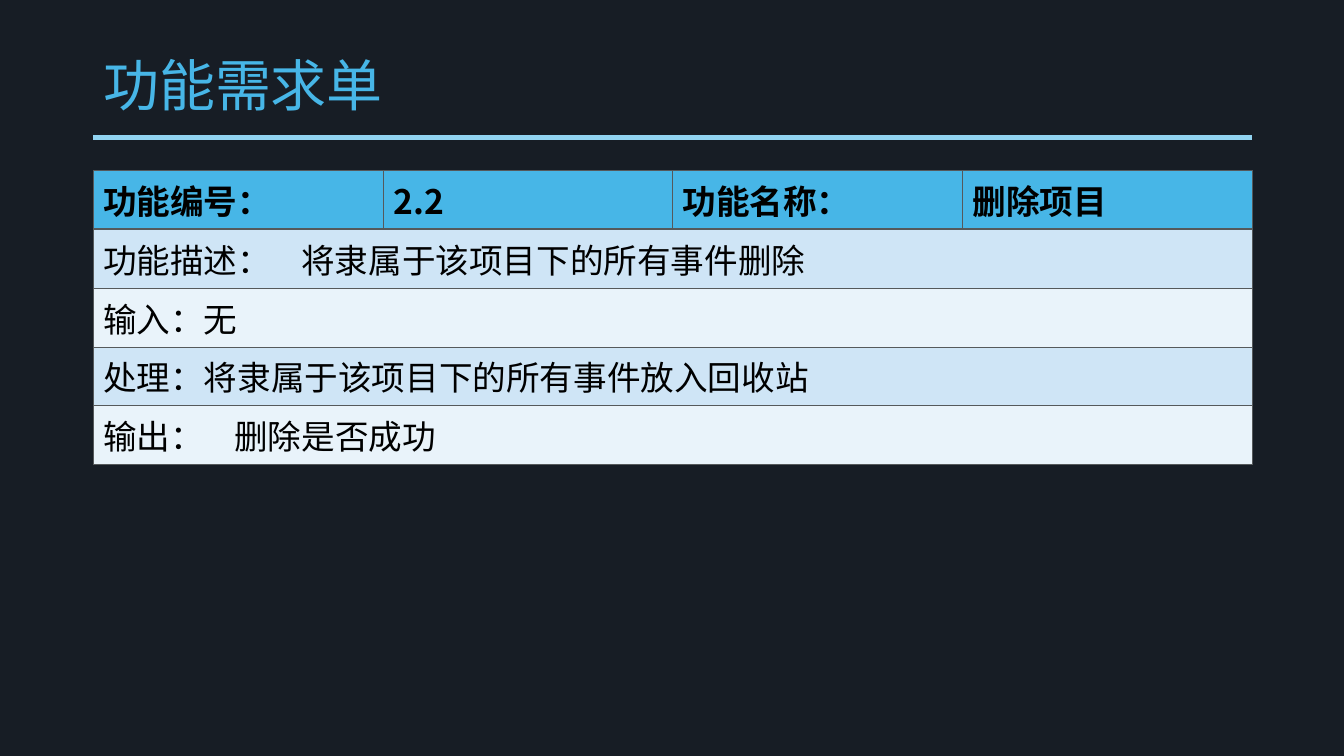
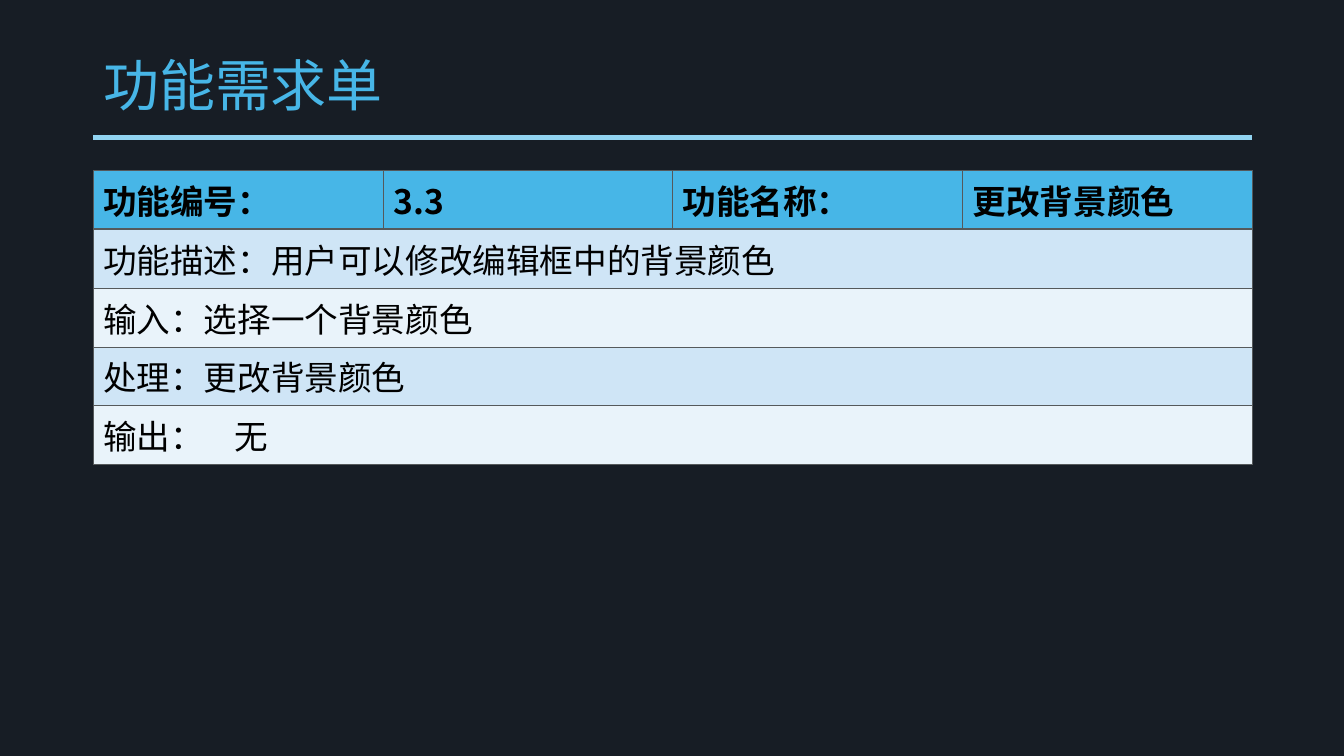
from lxml.etree import SubElement
from pptx import Presentation
from pptx.dml.color import RGBColor
from pptx.enum.shapes import MSO_CONNECTOR
from pptx.enum.text import MSO_ANCHOR, MSO_AUTO_SIZE, PP_ALIGN
from pptx.oxml.ns import qn
from pptx.util import Pt

SCALE = 9080
WIDE, HIGH = 1343, 755
DARK = RGBColor(0x17, 0x1D, 0x25)
BLUE = RGBColor(0x47, 0xB6, 0xE7)
SKY = RGBColor(0x91, 0xD3, 0xF1)
PALE = RGBColor(0xCF, 0xE5, 0xF6)
ICE = RGBColor(0xE9, 0xF3, 0xFA)
GRAY = RGBColor(0x55, 0x59, 0x5B)
BLACK = RGBColor(0, 0, 0)
SANS = "Noto Sans CJK SC"
TITLE = (93, 40, 1158, 96)
RULE = (93, 137, 1158)
TABLE = (93, 170, 1158, 210)
COLS = (290, 289, 290, 289)
THIN, THICK = 0.45, 1.47

SHEETS = [
    (("功能编号：", "2.2", "功能名称：", "删除项目"),
     (("功能描述：\t将隶属于该项目下的所有事件删除", 198),
      ("输入：无", None),
      ("处理：将隶属于该项目下的所有事件放入回收站", None),
      ("输出：\t删除是否成功", 131))),
    (("功能编号：", "3.3", "功能名称：", "更改背景颜色"),
     (("功能描述：用户可以修改编辑框中的背景颜色", None),
      ("输入：选择一个背景颜色", None),
      ("处理：更改背景颜色", None),
      ("输出：\t无", 131))),
]


def px(*nums):
    """Turn pixel lengths into EMU."""
    return [num * SCALE for num in nums]


def write(frame, text, size=24, face=SANS, color=BLACK, bold=False, tab=None, lead=None):
    """Put one formatted line of text into a text frame."""
    para = frame.paragraphs[0]
    para.alignment = PP_ALIGN.LEFT
    if lead:
        para.line_spacing = lead
    if tab:
        stops = SubElement(para._p.get_or_add_pPr(), qn("a:tabLst"))
        SubElement(stops, qn("a:tab"), pos=str(tab * SCALE), algn="l")
    run = para.add_run()
    run.text = text
    font = run.font
    font.size, font.bold, font.name = Pt(size), bold, face
    font.color.rgb = color
    SubElement(run._r.get_or_add_rPr(), qn("a:ea"), typeface=SANS)


def paint(cell, fill, top, base):
    """Give a cell its borders and its fill."""
    props = cell._tc.get_or_add_tcPr()
    for side, width in zip("LRTB", (THIN, THIN, top, base)):
        edge = SubElement(props, qn("a:ln" + side), w=str(int(Pt(width))))
        ink = SubElement(edge, qn("a:solidFill"))
        SubElement(ink, qn("a:srgbClr"), val=str(GRAY))
    cell.fill.solid()
    cell.fill.fore_color.rgb = fill


def add_rule(slide, layout, box):
    """Draw the line below the title and hand it to the layout."""
    left, top, width = box
    line = slide.shapes.add_connector(
        MSO_CONNECTOR.STRAIGHT, *px(left, top, left + width, top))
    line.line.color.rgb = SKY
    line.line.width = Pt(3.5)
    SubElement(line._element.spPr, qn("a:effectLst"))
    layout.shapes._spTree.append(line._element)


def set_theme(deck, layout):
    """Set the shared background and title place."""
    back = deck.slide_master.background.fill
    back.solid()
    back.fore_color.rgb = DARK
    title = layout.placeholders[0]
    title.left, title.top, title.width, title.height = px(*TITLE)


def add_title(slide, text):
    """Fill the title placeholder."""
    frame = slide.shapes.title.text_frame
    frame.word_wrap = True
    frame.auto_size = MSO_AUTO_SIZE.NONE
    frame.vertical_anchor = MSO_ANCHOR.MIDDLE
    write(frame, text, size=40, face="Arial", color=BLUE, lead=0.9)


def add_form(slide, box, head, body):
    """Build a table with a header row and full-width rows below."""
    count = len(body) + 1
    table = slide.shapes.add_table(count, len(head), *px(*box)).table
    table.horz_banding = False
    for col, width in zip(table.columns, COLS):
        col.width = width * SCALE
    for row in table.rows:
        row.height = box[3] * SCALE // count
    for cell, text in zip(table.rows[0].cells, head):
        paint(cell, BLUE, THIN, THICK)
        write(cell.text_frame, text, bold=True)
    for num, (text, tab) in enumerate(body, 1):
        for cell in table.rows[num].cells:
            paint(cell, PALE if num % 2 else ICE, THICK if num == 1 else THIN, THIN)
        first = table.cell(num, 0)
        first.merge(table.cell(num, len(head) - 1))
        write(first.text_frame, text, tab=tab)


def main():
    """Build and save the deck."""
    deck = Presentation()
    deck.slide_width, deck.slide_height = px(WIDE, HIGH)
    layout = deck.slide_layouts[5]
    set_theme(deck, layout)
    for head, body in SHEETS:
        slide = deck.slides.add_slide(layout)
        add_title(slide, "功能需求单")
        add_form(slide, TABLE, head, body)
    add_rule(slide, layout, RULE)
    deck.save("out.pptx")


if __name__ == "__main__":
    main()
